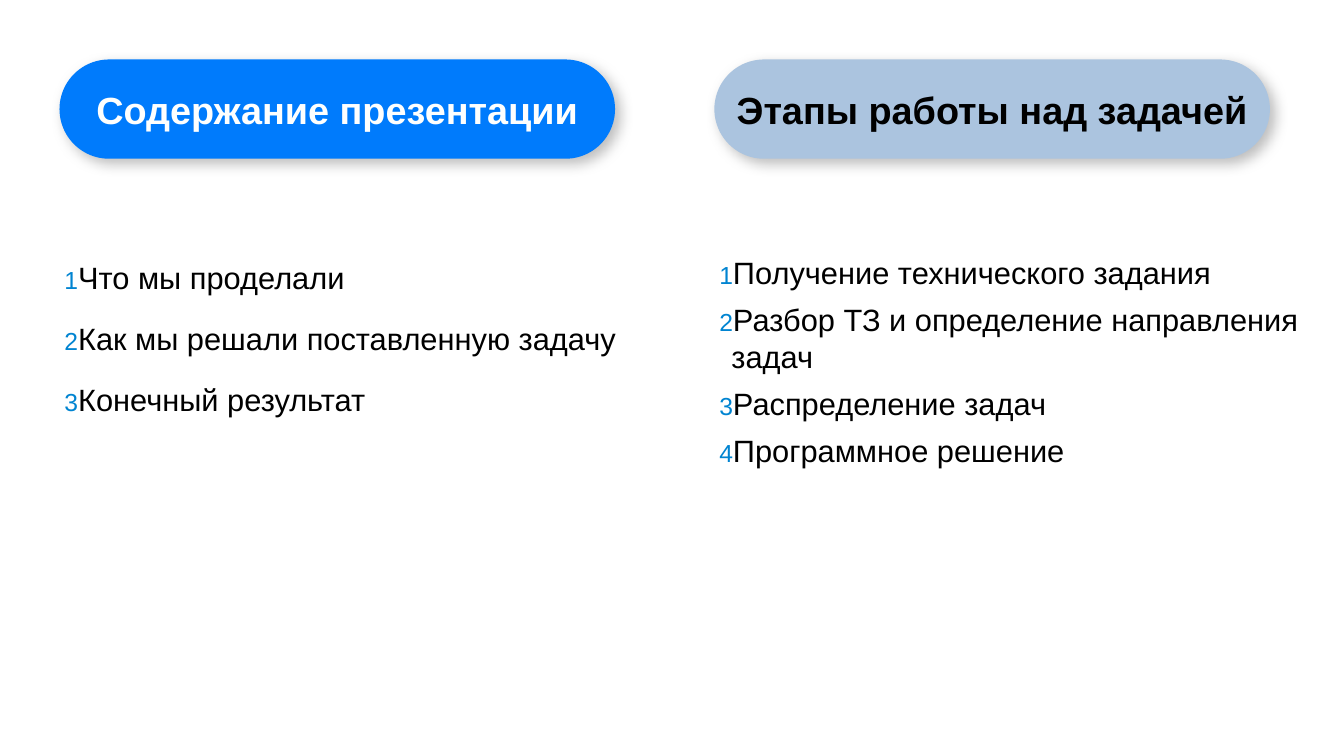
from dataclasses import dataclass

from lxml import etree
from pptx import Presentation
from pptx import util as u
from pptx.dml.color import RGBColor
from pptx.enum import shapes, text
from pptx.oxml.ns import qn

COLUMNS = [
    {
        "heading": "Содержание презентации",
        "colors": ("007BFC", "FEFFFE"),
        "left": 118,
        "list_top": 472,
        "list_width": 1220,
        "line_spacing": 1.5,
        "gap": 8,
        "items": [
            "Что мы проделали",
            "Как мы решали поставленную задачу",
            "Конечный результат",
        ],
    },
    {
        "heading": "Этапы работы над задачей",
        "colors": ("ABC4DF", "000000"),
        "left": 1417,
        "list_top": 499,
        "list_width": 1181,
        "line_spacing": 1.0,
        "gap": 14.2,
        "items": [
            "Получение технического задания",
            "Разбор ТЗ и определение направления задач",
            "Распределение задач",
            "Программное решение",
        ],
    },
]


@dataclass(frozen=True)
class Theme:
    font: str = "Arial"
    ink: str = "000000"
    number: str = "0084D1"
    heading_size: int = 54
    item_size: int = 44


THEME = Theme()
SLIDE_W, SLIDE_H = 2666, 1500
HEADING_TOP, HEADING_W, HEADING_H = 118, 1102, 197
LIST_H = 682
HANG = 24


def px(length):
    return u.Emu(length * 9144)


def set_font(paragraph, size, color, bold=False):
    font = paragraph.font
    font.name, font.size, font.bold = THEME.font, u.Pt(size), bold
    font.color.rgb = RGBColor.from_string(color)


def set_margins(frame, side, end):
    frame.margin_left = frame.margin_right = px(side)
    frame.margin_top = frame.margin_bottom = px(end)
    frame.word_wrap = True


def add(parent, tag, **attributes):
    values = {name: str(value) for name, value in attributes.items()}
    return etree.SubElement(parent, qn(tag), values)


def add_shadow(pill):
    pill.shadow.inherit = False
    effects = pill._element.spPr.find(qn("a:effectLst"))
    shadow = add(effects, "a:outerShdw", blurRad=u.Pt(20), dist=u.Pt(9.9),
                 dir=45 * 60000, algn="tl", rotWithShape=0)
    add(add(shadow, "a:srgbClr", val=THEME.ink), "a:alpha", val=25000)


def add_number(paragraph):
    props = paragraph._p.get_or_add_pPr()
    props.set("marL", str(px(HANG)))
    props.set("indent", str(px(-HANG)))
    add(add(props, "a:buClr"), "a:srgbClr", val=THEME.number)
    add(props, "a:buSzPct", val=80000)
    add(props, "a:buFont", typeface=THEME.font)
    add(props, "a:buAutoNum", type="arabicPlain")


def add_heading(slide, column):
    fill, ink = column["colors"]
    pill = slide.shapes.add_shape(
        shapes.MSO_SHAPE.ROUNDED_RECTANGLE,
        px(column["left"]), px(HEADING_TOP), px(HEADING_W), px(HEADING_H))
    pill.adjustments[0] = 0.5
    pill.fill.solid()
    pill.fill.fore_color.rgb = RGBColor.from_string(fill)
    pill.line.fill.background()
    add_shadow(pill)
    frame = pill.text_frame
    set_margins(frame, 10, 10)
    frame.vertical_anchor = text.MSO_ANCHOR.MIDDLE
    heading = frame.paragraphs[0]
    heading.text = column["heading"]
    heading.alignment = text.PP_ALIGN.CENTER
    set_font(heading, THEME.heading_size, ink, bold=True)


def add_list(slide, column):
    box = slide.shapes.add_textbox(
        px(column["left"]), px(column["list_top"]),
        px(column["list_width"]), px(LIST_H))
    frame = box.text_frame
    set_margins(frame, 10, 5)
    for index, item in enumerate(column["items"]):
        paragraph = frame.add_paragraph() if index else frame.paragraphs[0]
        paragraph.text = item
        add_number(paragraph)
        paragraph.line_spacing = column["line_spacing"]
        paragraph.space_before = u.Pt(column["gap"] if index else 0)
        set_font(paragraph, THEME.item_size, THEME.ink)


def main():
    deck = Presentation()
    deck.slide_width, deck.slide_height = px(SLIDE_W), px(SLIDE_H)
    slide = deck.slides.add_slide(deck.slide_layouts[6])
    for column in COLUMNS:
        add_heading(slide, column)
        add_list(slide, column)
    deck.save("out.pptx")


if __name__ == "__main__":
    main()
